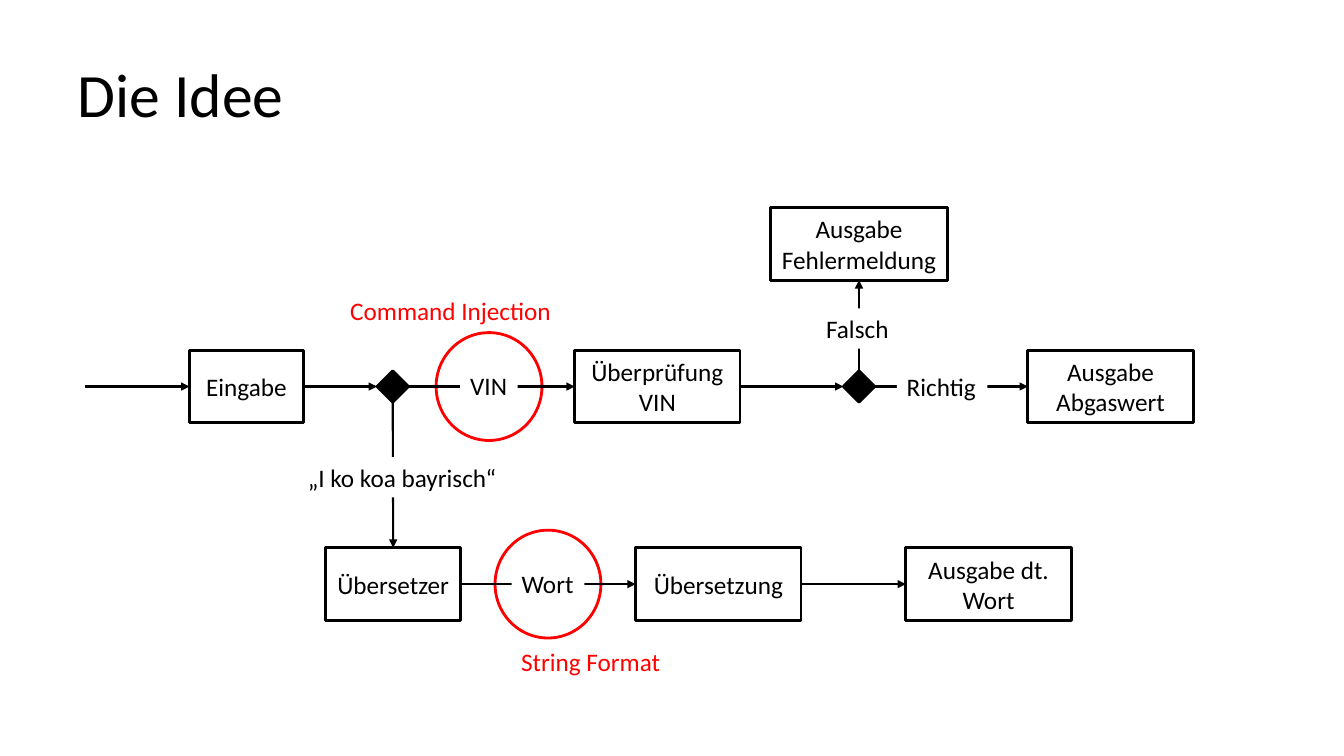
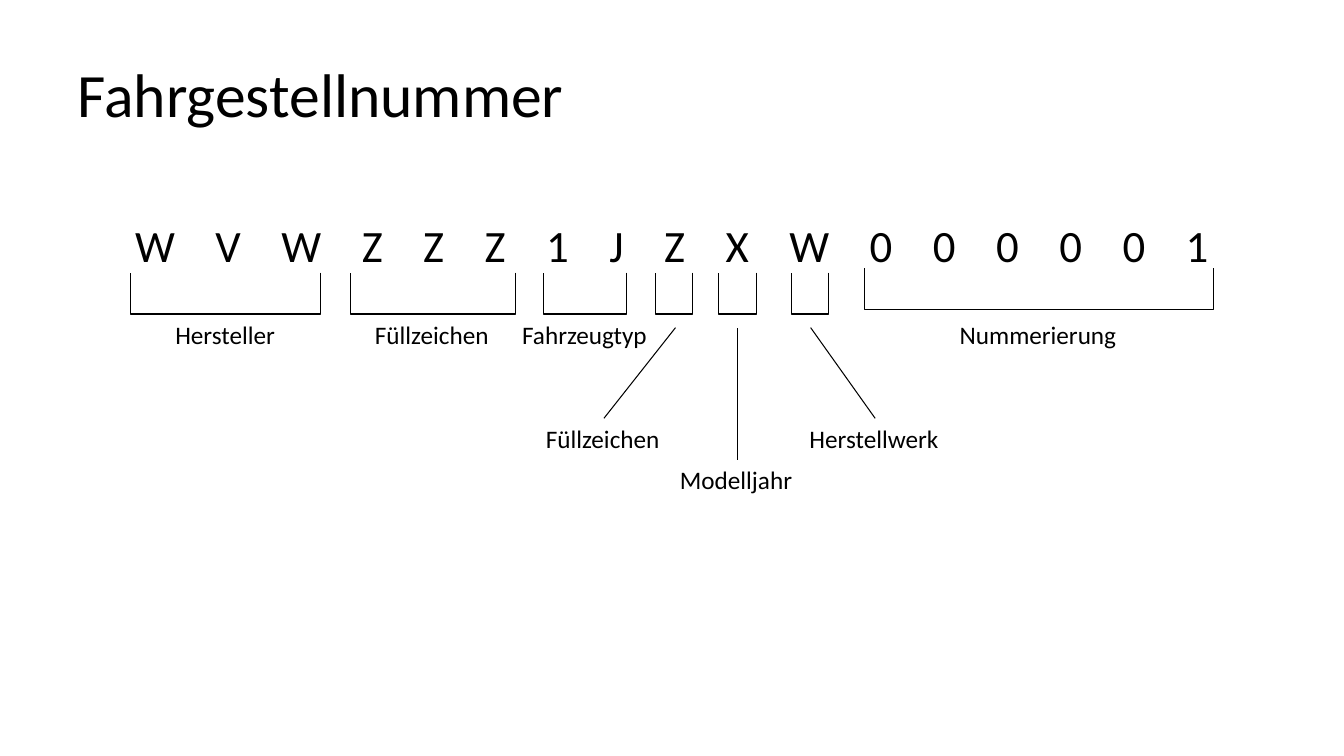
"""Build two slides: an input flow chart and the parts of a chassis number."""
from typing import NamedTuple

from lxml import etree
from pptx import Presentation
from pptx.dml.color import RGBColor
from pptx.enum.shapes import MSO_CONNECTOR, MSO_SHAPE
from pptx.enum.text import MSO_ANCHOR, MSO_AUTO_SIZE, PP_ALIGN
from pptx.oxml.ns import qn
from pptx.util import Inches, Pt

BLACK = RGBColor(0, 0, 0)
WHITE = RGBColor(255, 255, 255)
RED = RGBColor(255, 0, 0)
FONT = "Calibri"
CELL = 0.1
RECT, OVAL = MSO_SHAPE.RECTANGLE, MSO_SHAPE.OVAL
GEM, CLAMP = MSO_SHAPE.DIAMOND, MSO_SHAPE.LEFT_BRACKET
LINE = MSO_CONNECTOR.STRAIGHT
LEFT, MID = PP_ALIGN.LEFT, PP_ALIGN.CENTER
CENTER = MSO_ANCHOR.MIDDLE
FIT, FIXED = MSO_AUTO_SIZE.SHAPE_TO_FIT_TEXT, MSO_AUTO_SIZE.NONE
TOP, WEST, BASE, EAST = range(4)
MAIN, LOW = 38.35, 57.95
CODE = "WVWZZZ1JZXW000001"
TRACK = 10.85


class Node(NamedTuple):
    key: str
    x: float
    y: float
    wide: float
    high: float = 7.2
    kind: int = RECT


class Link(NamedTuple):
    start: str
    out: int
    end: str
    into: int


class Tag(NamedTuple):
    text: str
    x: float
    y: float
    wide: float
    color: RGBColor = BLACK


class Span(NamedTuple):
    x: float
    y: float
    wide: float


class Ray(NamedTuple):
    x1: float
    y1: float
    x2: float
    y2: float


RINGS = [Node("", 48.5, MAIN, 10.5, 10.7, OVAL),
         Node("", 54.35, LOW, 10.5, 10.7, OVAL)]
NODES = [
    Node("Eingabe", 24.45, MAIN, 11.3),
    Node("Sprache", 38.95, MAIN, 3.1, 3.1, GEM),
    Node("Überprüfung VIN", 65.2, MAIN, 16.4),
    Node("Urteil", 85.2, MAIN, 3.1, 3.1, GEM),
    Node("Ausgabe Abgaswert", 110.15, MAIN, 16.4),
    Node("Ausgabe Fehlermeldung", 85.2, 24.2, 17.5),
    Node("Übersetzer", 39, LOW, 13.4),
    Node("Übersetzung", 71.25, LOW, 16.4),
    Node("Ausgabe dt. Wort", 98.05, LOW, 16.4),
]
LINKS = [
    Link("Eingabe", EAST, "Sprache", WEST),
    Link("Sprache", EAST, "Überprüfung VIN", WEST),
    Link("Sprache", BASE, "Übersetzer", TOP),
    Link("Überprüfung VIN", EAST, "Urteil", WEST),
    Link("Urteil", EAST, "Ausgabe Abgaswert", WEST),
    Link("Urteil", TOP, "Ausgabe Fehlermeldung", BASE),
    Link("Übersetzer", EAST, "Übersetzung", WEST),
    Link("Übersetzung", EAST, "Ausgabe dt. Wort", WEST),
]
MARKS = [
    Tag("„I ko koa bayrisch“", 40, 47.35, 20.9),
    Tag("VIN", 48.5, 38.2, 5.7),
    Tag("Richtig", 93.45, MAIN, 9),
    Tag("Falsch", 85.1, 32.6, 8.3),
    Tag("Wort", 54.35, 57.9, 7.2),
]
RISKS = [Tag("Command Injection", 44.85, 30.8, 22.2, RED),
         Tag("String Format", 58.7, 65.6, 16, RED)]
SPANS = [
    Span(22.35, 29.1, 18.9), Span(42.95, 29.1, 16.4), Span(58.05, 29.1, 8.2),
    Span(66.85, 29.1, 3.7), Span(73.15, 29.1, 3.7), Span(80.35, 29.1, 3.7),
    Span(103.05, 28.65, 34.6),
]
PARTS = [
    Tag("Hersteller", 22.4, 33.15, 12),
    Tag("Füllzeichen", 42.9, 33.15, 13.4),
    Tag("Fahrzeugtyp", 58.05, 33.15, 14.5),
    Tag("Nummerierung", 103.05, 33.15, 17.7),
    Tag("Füllzeichen", 59.85, 43.5, 13.4),
    Tag("Modelljahr", 73.1, 47.6, 13.3),
    Tag("Herstellwerk", 86.75, 43.5, 14.9),
]
RAYS = [Ray(59.9, 41.5, 67, 32.5), Ray(73.1, 45.6, 73.1, 32.5),
        Ray(86.8, 41.5, 80.4, 32.5)]


def cells(count: float) -> int:
    """Turn grid cells into a length."""
    return Inches(count * CELL)


def frame(x: float, y: float, wide: float, high: float) -> tuple:
    """Return left, top, width and height around a centre."""
    return cells(x - wide / 2), cells(y - high / 2), cells(wide), cells(high)


def write(para, text: str, size: float, color=BLACK, align=LEFT):
    """Add one styled run to a paragraph."""
    para.alignment = align
    run = para.add_run()
    run.text = text
    run.font.size, run.font.name = Pt(size), FONT
    run.font.color.rgb = color
    return run


def place(shape, left: float, top: float, wide: float, high: float) -> None:
    """Move a placeholder to its grid cells."""
    shape.left, shape.top = cells(left), cells(top)
    shape.width, shape.height = cells(wide), cells(high)
    shape.text_frame.auto_size = FIXED


def start(deck, index: int, text: str):
    """Add a slide with the shared title style."""
    slide = deck.slides.add_slide(deck.slide_layouts[index])
    title = slide.shapes.title
    place(title, 6.7, 3, 120, 12.5)
    title.text_frame.vertical_anchor = CENTER
    write(title.text_frame.paragraphs[0], text, 44)
    return slide


def draw(slide, node: Node, edge: RGBColor):
    """Draw an outlined shape with its text."""
    shape = slide.shapes.add_shape(node.kind, *frame(*node[1:5]))
    shape.shadow.inherit = False
    shape.fill.solid()
    shape.fill.fore_color.rgb = BLACK if node.kind == GEM else WHITE
    shape.line.color.rgb, shape.line.width = edge, Pt(2)
    if node.kind == RECT:
        shape.text_frame.word_wrap = True
        shape.text_frame.vertical_anchor = CENTER
        write(shape.text_frame.paragraphs[0], node.key, 18, align=MID)
    return shape


def rule(slide, ray: Ray, width: float, arrow: bool = False):
    """Draw a line, with an arrowhead if wanted."""
    line = slide.shapes.add_connector(LINE, *map(cells, ray))
    line.line.color.rgb, line.line.width = BLACK, Pt(width)
    props = line.line._get_or_add_ln()
    if arrow:
        etree.SubElement(props, qn("a:tailEnd"), type="triangle")
    etree.SubElement(props.getparent(), qn("a:effectLst"))
    return line


def label(slide, tag: Tag, solid: bool = False) -> None:
    """Add a text label, on white if wanted."""
    box = slide.shapes.add_textbox(*frame(tag.x, tag.y, tag.wide, 4))
    if solid:
        box.fill.solid()
        box.fill.fore_color.rgb = WHITE
    box.text_frame.word_wrap = False
    box.text_frame.auto_size = FIT
    write(box.text_frame.paragraphs[0], tag.text, 18, tag.color)


def clamp(slide, span: Span) -> None:
    """Draw a square bracket that opens upwards."""
    shape = slide.shapes.add_shape(CLAMP, *frame(span.x, span.y, 4.1, span.wide))
    shape.rotation = 270
    shape.adjustments[0] = 0
    shape.shadow.inherit = False
    shape.fill.background()
    shape.line.color.rgb, shape.line.width = BLACK, Pt(0.75)


def spread(body) -> None:
    """Write the code centred, with wide letter spacing."""
    place(body, 6.7, 21.1, 120, 8)
    para = body.text_frame.paragraphs[0]
    run = write(para, " ".join(CODE), 32, align=MID)
    run.font._element.set("spc", str(round(TRACK * 100)))
    props = para._p.get_or_add_pPr()
    props.set("marL", "0")
    props.set("indent", "0")
    etree.SubElement(props, qn("a:buNone"))


def flow(deck) -> None:
    """Build the flow chart."""
    slide = start(deck, 5, "Die Idee")
    for ring in RINGS:
        draw(slide, ring, RED)
    shapes = {node.key: draw(slide, node, BLACK) for node in NODES}
    entry = rule(slide, Ray(8.4, MAIN, 18.8, MAIN), 1.5, True)
    entry.end_connect(shapes["Eingabe"], WEST)
    for link in LINKS:
        line = rule(slide, Ray(0, 0, 0, 0), 1.5, True)
        line.begin_connect(shapes[link.start], link.out)
        line.end_connect(shapes[link.end], link.into)
    for tag in MARKS:
        label(slide, tag, True)
    for tag in RISKS:
        label(slide, tag)


def number(deck) -> None:
    """Build the chassis number."""
    slide = start(deck, 1, "Fahrgestellnummer")
    spread(slide.placeholders[1])
    for span in SPANS:
        clamp(slide, span)
    for tag in PARTS:
        label(slide, tag)
    for ray in RAYS:
        rule(slide, ray, 0.75)


def main() -> None:
    """Build and save the deck."""
    deck = Presentation()
    deck.slide_width, deck.slide_height = Inches(13.33), Inches(7.5)
    flow(deck)
    number(deck)
    deck.save("out.pptx")


if __name__ == "__main__":
    main()
